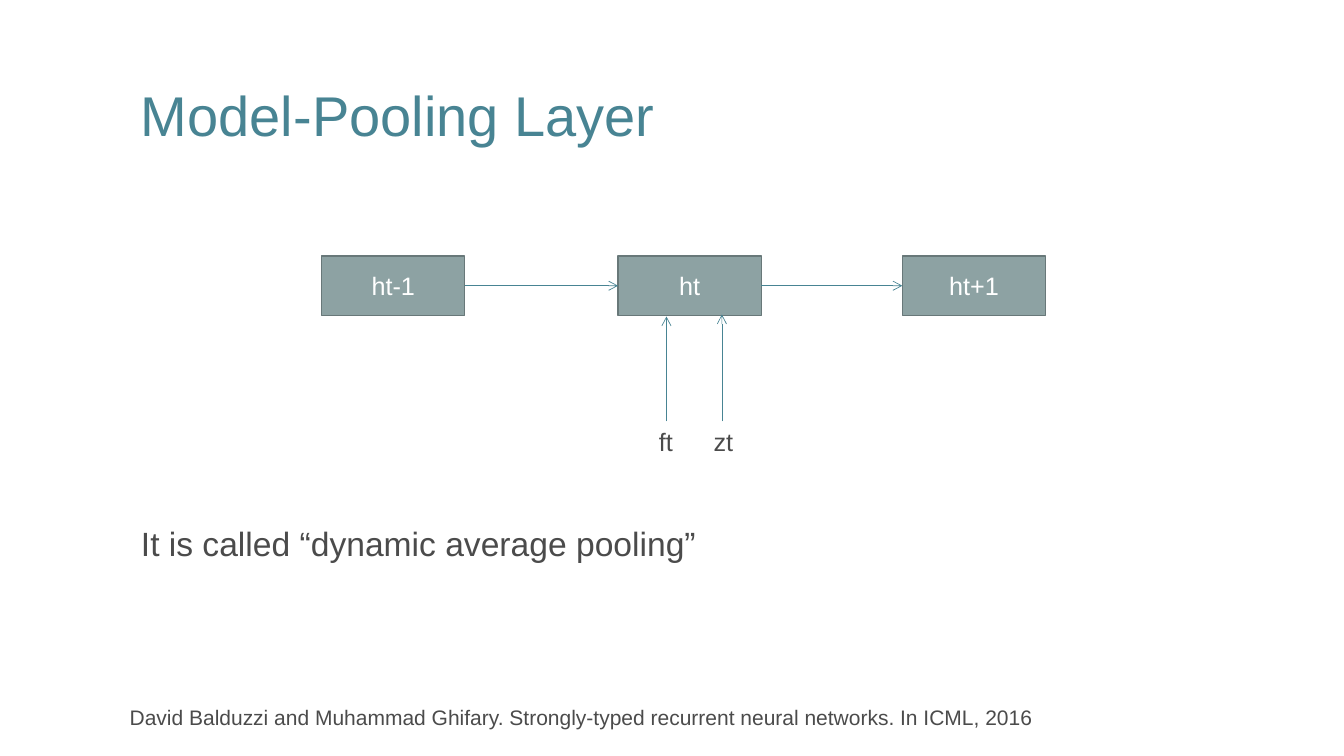
"""Build the Model-Pooling Layer slide: a recurrent state chain with two inputs."""
from lxml import etree
from pptx import Presentation
from pptx import util as u
from pptx.dml.color import RGBColor
from pptx.enum import shapes, text
from pptx.oxml.ns import qn

THEME = {
    "font": "Arial", "teal": "488493", "ink": "4B4B4B", "box": "8DA2A3",
    "edge": "687879", "white": "FFFFFF",
    "title": 40, "body": 24, "label": 18, "source": 15,
}
LEFT, CENTER = text.PP_ALIGN.LEFT, text.PP_ALIGN.CENTER
TEXTS = [
    ("Model-Pooling Layer", (1.3, 0.68, 10.73, 0.98), "title", "teal", LEFT, 0.9),
    ("It is called “dynamic average pooling”", (1.3, 5.16, 10.73, 0.5), "body", "ink", LEFT, 0.9),
    ("David Balduzzi and Muhammad Ghifary. Strongly-typed recurrent neural networks. In ICML, 2016",
     (0.74, 6.91, 10.05, 0.4), "source", "ink", CENTER, 1.0),
]
STATES = [("ht-1", 3.19), ("ht", 6.13), ("ht+1", 8.95)]
INPUTS = [("ft", 6.32, 6.61, 3.14), ("zt", 6.89, 7.16, 3.12)]
STATE_TOP, STATE_W, STATE_H = 2.54, 1.42, 0.59
INPUT_TOP, INPUT_W, INPUT_H = 4.18, 0.57, 0.4


def color(name):
    return RGBColor.from_string(THEME[name])


def inches(values):
    return [u.Inches(v) for v in values]


def write(sp, words, size, ink, align=CENTER, spacing=1.0):
    tf = sp.text_frame
    p = tf.paragraphs[0]
    r = p.add_run()
    formats = [
        (tf, {"word_wrap": True, "vertical_anchor": text.MSO_ANCHOR.MIDDLE}),
        (p, {"alignment": align, "line_spacing": spacing}),
        (r, {"text": words}),
        (r.font, {"name": THEME["font"], "size": u.Pt(THEME[size])}),
    ]
    for target, values in formats:
        for key, value in values.items():
            setattr(target, key, value)
    r.font.color.rgb = color(ink)


def add_text(s, words, at, size, ink, align=CENTER, spacing=1.0):
    write(s.shapes.add_textbox(*inches(at)), words, size, ink, align, spacing)


def add_state(s, words, left):
    at = inches((left, STATE_TOP, STATE_W, STATE_H))
    sp = s.shapes.add_shape(shapes.MSO_SHAPE.RECTANGLE, *at)
    sp.shadow.inherit = False
    sp.fill.solid()
    sp.fill.fore_color.rgb = color("box")
    sp.line.color.rgb = color("edge")
    sp.line.width = u.Pt(1)
    write(sp, words, "label", "white")


def add_arrow(s, *ends):
    cx = s.shapes.add_connector(shapes.MSO_CONNECTOR.STRAIGHT, *inches(ends))
    cx.line.color.rgb = color("teal")
    cx.line.width = u.Pt(0.5)
    etree.SubElement(cx.line._get_or_add_ln(), qn("a:tailEnd"), type="arrow")
    etree.SubElement(cx._element.spPr, qn("a:effectLst"))


def main():
    prs = Presentation()
    prs.slide_width, prs.slide_height = inches((13.33, 7.5))
    s = prs.slides.add_slide(prs.slide_layouts[6])
    for item in TEXTS:
        add_text(s, *item)
    for words, left in STATES:
        add_state(s, words, left)
    mid = STATE_TOP + STATE_H / 2
    for (_, start), (_, end) in zip(STATES, STATES[1:]):
        add_arrow(s, start + STATE_W, mid, end, mid)
    for words, left, x, tip in INPUTS:
        add_arrow(s, x, INPUT_TOP, x, tip)
        add_text(s, words, (left, INPUT_TOP, INPUT_W, INPUT_H), "label", "ink")
    prs.save("out.pptx")


if __name__ == "__main__":
    main()
